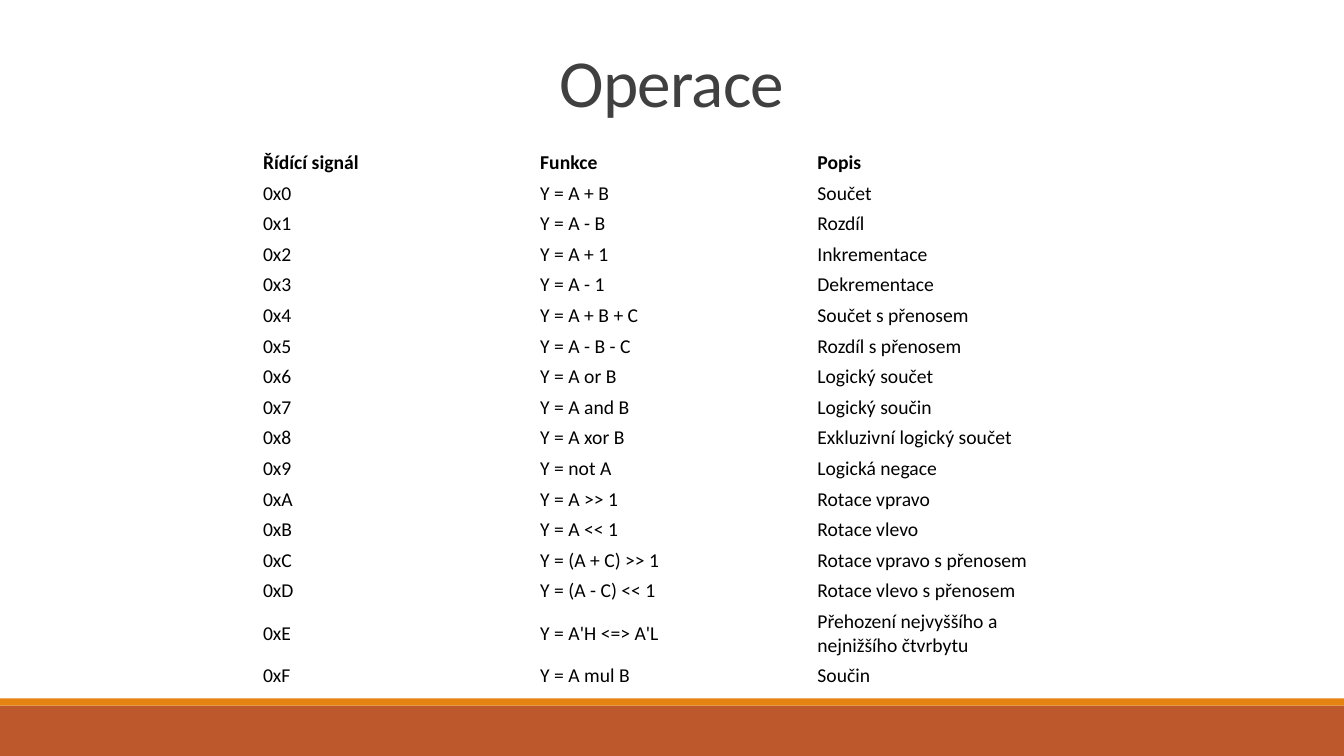
from pptx import Presentation
from pptx.dml.color import RGBColor
from pptx.enum.shapes import MSO_SHAPE as Shape
from pptx.enum.text import MSO_ANCHOR as Anchor, PP_ALIGN as Align
from pptx.util import Pt

TITLE = "Operace"
HEADER = ("Řídící signál", "Funkce", "Popis")
OPERATIONS = [
    ("Y = A + B", "Součet"),
    ("Y = A - B", "Rozdíl"),
    ("Y = A + 1", "Inkrementace"),
    ("Y = A - 1", "Dekrementace"),
    ("Y = A + B + C", "Součet s přenosem"),
    ("Y = A - B - C", "Rozdíl s přenosem"),
    ("Y = A or B", "Logický součet"),
    ("Y = A and B", "Logický součin"),
    ("Y = A xor B", "Exkluzivní logický součet"),
    ("Y = not A", "Logická negace"),
    ("Y = A >> 1", "Rotace vpravo"),
    ("Y = A << 1", "Rotace vlevo"),
    ("Y = (A + C) >> 1", "Rotace vpravo s přenosem"),
    ("Y = (A - C) << 1", "Rotace vlevo s přenosem"),
    ("Y = A'H <=> A'L", "Přehození nejvyššího a nejnižšího čtvrbytu"),
    ("Y = A mul B", "Součin"),
]
COLORS = {"band": "BD582C", "stripe": "E48312", "title": "404040", "text": "000000"}
FONT = "Calibri"
WIDTH, HEIGHT = 960, 540
BAND_HEIGHT, STRIPE_HEIGHT = 36, 5.2
COLUMN_WIDTH, ROW_HEIGHT, TALL_ROW_HEIGHT = 198, 21.88, 38.6
TALL_ROW = 15
TABLE_LEFT, TABLE_TOP = 182.9, 105.3


def color(name):
    return RGBColor.from_string(COLORS[name])


def add_bar(slide, top, height, name):
    bar = slide.shapes.add_shape(Shape.RECTANGLE, 0, Pt(top), Pt(WIDTH), Pt(height))
    bar.shadow.inherit = False
    bar.fill.solid()
    bar.fill.fore_color.rgb = color(name)
    bar.line.fill.background()


def style(para, size, name, bold=False):
    para.font.name = FONT
    para.font.size = Pt(size)
    para.font.bold = bold
    para.font.color.rgb = color(name)


def add_title(slide):
    box = slide.shapes.add_textbox(Pt(84), Pt(30.2), Pt(792), Pt(115.2))
    frame = box.text_frame
    frame.word_wrap = True
    frame.vertical_anchor = Anchor.TOP
    frame.margin_top = Pt(7.2)
    para = frame.paragraphs[0]
    para.alignment = Align.CENTER
    para.line_spacing = 0.85
    span = para.add_run()
    span.text = TITLE
    span.font._element.set("spc", "-50")
    style(para, 48, "title")


def add_operations(slide):
    rows = [HEADER] + [(f"0x{code:X}", *operation) for code, operation in enumerate(OPERATIONS)]
    heights = [TALL_ROW_HEIGHT if i == TALL_ROW else ROW_HEIGHT for i in range(len(rows))]
    table = slide.shapes.add_table(
        len(rows), len(HEADER), Pt(TABLE_LEFT), Pt(TABLE_TOP),
        Pt(COLUMN_WIDTH * len(HEADER)), Pt(sum(heights))).table
    table.horz_banding = False
    for column in table.columns:
        column.width = Pt(COLUMN_WIDTH)
    for i, texts in enumerate(rows):
        table.rows[i].height = Pt(heights[i])
        for j, text in enumerate(texts):
            cell = table.cell(i, j)
            cell.fill.background()
            cell.vertical_anchor = Anchor.MIDDLE
            cell.margin_left = cell.margin_right = Pt(5)
            cell.margin_top = cell.margin_bottom = Pt(2.3)
            cell.text = text
            style(cell.text_frame.paragraphs[0], 14, "text", bold=i == 0)


def main():
    deck = Presentation()
    deck.slide_width, deck.slide_height = Pt(WIDTH), Pt(HEIGHT)
    page = deck.slides.add_slide(deck.slide_layouts[6])
    band_top = HEIGHT - BAND_HEIGHT
    add_bar(page, band_top, BAND_HEIGHT, "band")
    add_bar(page, band_top - STRIPE_HEIGHT, STRIPE_HEIGHT, "stripe")
    add_title(page)
    add_operations(page)
    deck.save("out.pptx")


if __name__ == "__main__":
    main()
